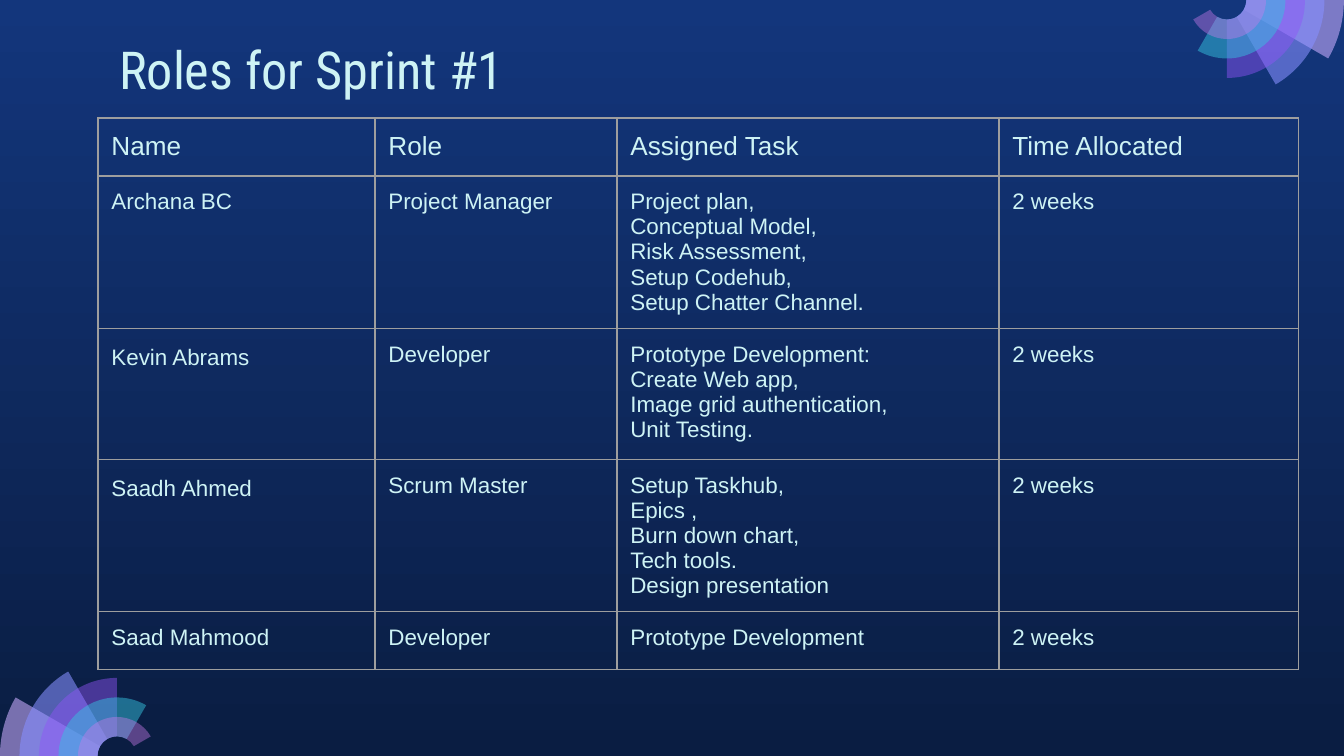
import math

from lxml import etree
from pptx import Presentation
from pptx import util as u
from pptx.dml.color import RGBColor
from pptx.enum import text
from pptx.oxml.ns import qn

EMU_PER_PX = 914400 / 134.4
WIDTH, HEIGHT = 1344, 756
COLORS = {
    "sky": "13367C", "deep": "0A1D42", "text": "CEF3F5", "grid": "9E9E9E",
    "lilac": "C8ACFD", "periwinkle": "878FFF", "violet": "9154F8",
    "teal": "35C2DF", "pink": "CA7BEB",
}
# Fan wedges from widest ring to narrowest: colour and opacity in percent
WEDGES = [("lilac", 58), ("periwinkle", 58), ("violet", 46), ("teal", 49), ("pink", 42)]
FAN_RADIUS = 117
COLUMN_WIDTHS = [277, 242, 382, 300]
# Least heights: rows grow to hold their text
ROW_HEIGHTS = [58, 90, 131, 124, 58]
ROLES = [
    ["Name", "Role", "Assigned Task", "Time Allocated"],
    ["Archana BC", "Project Manager",
     "Project plan,\nConceptual Model,\nRisk Assessment,\nSetup Codehub,\nSetup Chatter Channel.",
     "2 weeks"],
    ["Kevin Abrams", "Developer",
     "Prototype Development:\nCreate Web app,\nImage grid authentication,\nUnit Testing.",
     "2 weeks"],
    ["Saadh Ahmed", "Scrum Master",
     "Setup Taskhub,\nEpics ,\nBurn down chart,\nTech tools.\nDesign presentation",
     "2 weeks"],
    ["Saad Mahmood", "Developer", "Prototype Development", "2 weeks"],
]
LOOSE_NAMES = ("Kevin Abrams", "Saadh Ahmed")


def px(length):
    return u.Emu(round(length * EMU_PER_PX))


def rgb(name):
    return RGBColor.from_string(COLORS[name])


def style_font(paragraph, family, size):
    paragraph.font.name = family
    paragraph.font.size = u.Pt(size)
    paragraph.font.color.rgb = rgb("text")


def paint_background(slide):
    fill = slide.background.fill
    fill.gradient()
    fill.gradient_angle = 270
    for stop, name in zip(fill.gradient_stops, ("sky", "deep")):
        stop.color.rgb = rgb(name)


def polar(center, radius, degrees):
    angle = math.radians(degrees)
    return (px(center[0] + radius * math.cos(angle)),
            px(center[1] + radius * math.sin(angle)))


def arc_controls(center, radius, start, end):
    """The two control points of a cubic curve along an arc of at most 90 degrees."""
    sweep = math.radians(end - start)
    reach = 4 / 3 * math.tan(sweep / 4)
    lean = math.degrees(math.atan(reach))
    pull = radius * math.hypot(1, reach)
    return [polar(center, pull, start + lean), polar(center, pull, end - lean)]


def add_wedge(slide, center, radius, start, end, color, opacity):
    # Split at the quarter turn, so that the corners span the whole wedge
    turns = [start, end] if end - start <= 90 else [start, start + 90, end]
    corners = [(radius, a) for a in turns] + [(FAN_RADIUS / 6, a) for a in reversed(turns)]
    outline = [polar(center, *corner) for corner in corners]
    builder = slide.shapes.build_freeform(*outline[0])
    builder.add_line_segments(outline[1:], close=True)
    wedge = builder.convert_to_shape()

    # Bend the sides that keep their radius into curves
    sides = wedge._element.findall(f".//{qn('a:lnTo')}")
    for side, (ring, a), (next_ring, b) in zip(sides, corners, corners[1:]):
        if ring == next_ring:
            side.tag = qn("a:cubicBezTo")
            for i, (x, y) in enumerate(arc_controls(center, ring, a, b)):
                point = etree.Element(qn("a:pt"), x=str(x - wedge.left), y=str(y - wedge.top))
                side.insert(i, point)

    wedge.shadow.inherit = False
    wedge.line.fill.background()
    wedge.fill.solid()
    wedge.fill.fore_color.rgb = rgb(color)
    srgb = wedge._element.spPr.find(f"{qn('a:solidFill')}/{qn('a:srgbClr')}")
    etree.SubElement(srgb, qn("a:alpha"), val=str(opacity * 1000))


def add_fan(slide, center, start):
    # Each wedge is one ring smaller and 30 degrees wider than the one before
    for i, (color, opacity) in enumerate(WEDGES):
        radius = FAN_RADIUS * (6 - i) / 6
        add_wedge(slide, center, radius, start, start + 30 * (i + 1), color, opacity)


def add_title(slide, wording):
    frame = slide.shapes.add_textbox(px(106), px(24), px(1133), px(85)).text_frame
    frame.word_wrap = True
    frame.margin_left = frame.margin_right = u.Inches(0.1)
    frame.margin_top = frame.margin_bottom = u.Inches(0.1)
    title = frame.paragraphs[0]
    title.text = wording
    style_font(title, "Roboto Condensed", 28)


def add_borders(cell):
    properties = cell._tc.get_or_add_tcPr()
    for i, side in enumerate(("lnL", "lnR", "lnT", "lnB")):
        line = etree.Element(qn(f"a:{side}"), w=str(u.Pt(0.75)))
        fill = etree.SubElement(line, qn("a:solidFill"))
        etree.SubElement(fill, qn("a:srgbClr"), val=COLORS["grid"])
        properties.insert(i, line)


def fill_cell(cell, wording, size):
    cell.fill.background()
    add_borders(cell)
    cell.margin_left = cell.margin_right = u.Inches(0.1)
    cell.margin_top = cell.margin_bottom = u.Inches(0.1)
    cell.vertical_anchor = text.MSO_ANCHOR.TOP
    cell.text_frame.text = wording
    for paragraph in cell.text_frame.paragraphs:
        style_font(paragraph, "Arial", size)
        if wording in LOOSE_NAMES:
            paragraph.line_spacing = 1.15


def add_roles_table(slide):
    table = slide.shapes.add_table(
        len(ROLES), len(COLUMN_WIDTHS), px(98), px(118),
        px(sum(COLUMN_WIDTHS)), px(sum(ROW_HEIGHTS))).table
    table.first_row = table.horz_banding = False
    for column, width in zip(table.columns, COLUMN_WIDTHS):
        column.width = px(width)
    for r, (height, entries) in enumerate(zip(ROW_HEIGHTS, ROLES)):
        table.rows[r].height = px(height)
        for c, wording in enumerate(entries):
            fill_cell(table.cell(r, c), wording, 12 if r else 14)


def main():
    deck = Presentation()
    deck.slide_width, deck.slide_height = px(WIDTH), px(HEIGHT)
    slide = deck.slides.add_slide(deck.slide_layouts[6])

    # Backdrop with a fan in two opposite corners
    paint_background(slide)
    add_fan(slide, (FAN_RADIUS, HEIGHT), 180)
    add_fan(slide, (WIDTH - FAN_RADIUS, 0), 0)

    # Content
    add_roles_table(slide)
    add_title(slide, "Roles for Sprint #1")
    deck.save("out.pptx")


if __name__ == "__main__":
    main()
